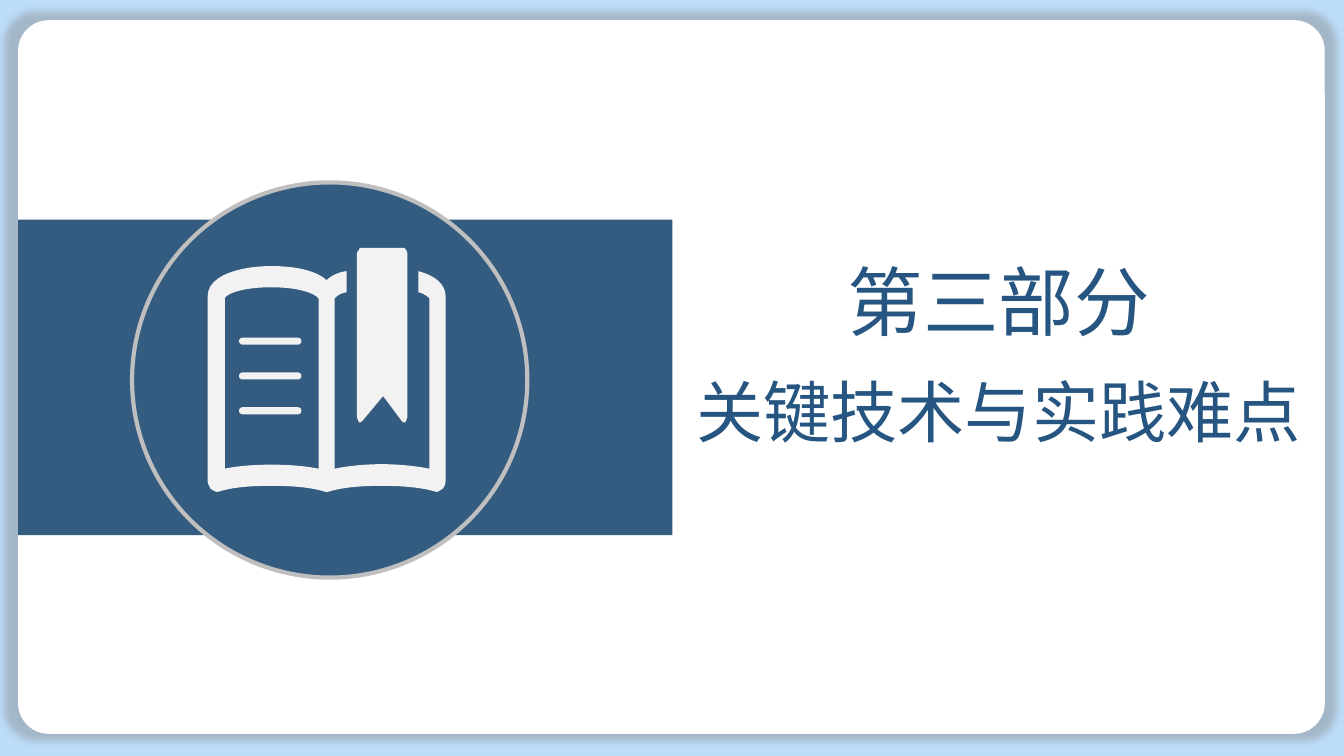
from lxml.etree import SubElement
from pptx import Presentation
from pptx.dml.color import RGBColor
from pptx.enum.shapes import MSO_SHAPE
from pptx.enum.text import MSO_ANCHOR, MSO_AUTO_SIZE, PP_ALIGN
from pptx.oxml.ns import qn
from pptx.util import Inches, Pt

SKY = RGBColor(0xBD, 0xDC, 0xF8)
WHITE = RGBColor(0xFF, 0xFF, 0xFF)
NAVY = RGBColor(0x33, 0x5C, 0x80)
TITLE_BLUE = RGBColor(0x25, 0x55, 0x80)
RING_GREY = RGBColor(0xBF, 0xBF, 0xBF)
ICON_GREY = RGBColor(0xF2, 0xF2, 0xF2)
FONT = "Noto Sans CJK JP"
CURVE_STEPS = 12

# Outlines in inches: a pair is a line end, six numbers are a Bezier segment
BOOK_COVER = [
    (4.15, 2.69), (4.15, 2.9), (4.2, 2.91, 4.24, 2.94, 4.26, 2.96),
    (4.26, 4.65), (3.96, 4.59, 3.61, 4.59, 3.32, 4.65), (3.32, 2.96),
    (3.34, 2.94, 3.37, 2.91, 3.44, 2.9), (3.44, 2.69),
    (3.36, 2.7, 3.29, 2.73, 3.24, 2.78), (3.12, 2.67, 2.89, 2.64, 2.69, 2.64),
    (2.41, 2.64, 2.06, 2.72, 2.06, 2.94), (2.06, 4.77),
    (2.06, 4.8, 2.08, 4.83, 2.09, 4.85), (2.11, 4.86, 2.13, 4.88, 2.16, 4.88),
    (2.32, 4.83, 2.5, 4.82, 2.69, 4.82), (2.88, 4.82, 3.07, 4.83, 3.23, 4.88),
    (3.25, 4.88), (3.42, 4.83, 3.6, 4.82, 3.78, 4.82),
    (3.97, 4.82, 4.16, 4.83, 4.33, 4.88), (4.35, 4.88, 4.37, 4.86, 4.39, 4.85),
    (4.41, 4.83, 4.42, 4.8, 4.42, 4.77), (4.42, 2.94),
    (4.42, 2.81, 4.3, 2.73, 4.15, 2.69),
]
LEFT_PAGE = [
    (3.16, 4.65), (3.01, 4.62, 2.85, 4.61, 2.69, 4.61),
    (2.54, 4.61, 2.37, 4.62, 2.23, 4.65), (2.23, 2.96),
    (2.25, 2.91, 2.42, 2.85, 2.69, 2.85), (2.96, 2.85, 3.12, 2.91, 3.16, 2.96),
]
BOOKMARK = [
    (3.56, 4.19), (3.58, 4.19), (3.6, 4.17), (3.8, 3.93), (3.98, 4.17),
    (4, 4.19), (4.02, 4.19), (4.03, 4.17), (4.04, 4.14), (4.04, 2.51),
    (4.03, 2.48), (4.01, 2.46), (3.57, 2.46), (3.56, 2.48), (3.54, 2.51),
    (3.54, 4.14),
]


def flatten(outline):
    """Turn lines and Bezier segments into a list of EMU points."""
    points = [outline[0]]
    for segment in outline[1:]:
        if len(segment) == 2:
            points.append(segment)
            continue
        start = points[-1]
        first, second, end = segment[:2], segment[2:4], segment[4:]
        for step in range(1, CURVE_STEPS + 1):
            t = step / CURVE_STEPS
            u = 1 - t
            points.append(tuple(
                u**3 * a + 3 * u * u * t * b + 3 * u * t * t * c + t**3 * d
                for a, b, c, d in zip(start, first, second, end)))
    return [(Inches(x), Inches(y)) for x, y in points]


class SectionSlide:
    def __init__(self, presentation):
        self.slide = presentation.slides.add_slide(presentation.slide_layouts[5])
        self.shapes = self.slide.shapes

    def paint(self, shape, fill, line=None):
        shape.shadow.inherit = False
        shape.fill.solid()
        shape.fill.fore_color.rgb = fill
        if line is None:
            shape.line.fill.background()
        else:
            shape.line.color.rgb = line
            shape.line.width = Pt(3)
        return shape

    def preset(self, kind, left, top, width, height, fill, line=None, corner=None):
        shape = self.shapes.add_shape(
            kind, Inches(left), Inches(top), Inches(width), Inches(height))
        if corner is not None:
            shape.adjustments[0] = corner
        return self.paint(shape, fill, line)

    def glow(self, shape):
        """Centred soft shadow, slightly larger than the shape."""
        effects = shape._element.spPr.find(qn("a:effectLst"))
        shadow = SubElement(
            effects, qn("a:outerShdw"), blurRad=str(Pt(5)), sx="102000",
            sy="102000", algn="ctr", rotWithShape="0")
        color = SubElement(shadow, qn("a:srgbClr"), val="808080")
        SubElement(color, qn("a:alpha"), val="40000")

    def outline(self, fill, *contours):
        first, *others = [flatten(contour) for contour in contours]
        builder = self.shapes.build_freeform(*first[0], scale=1.0)
        builder.add_line_segments(first[1:], close=True)
        for points in others:
            builder.move_to(*points[0])
            builder.add_line_segments(points[1:], close=True)
        return self.paint(builder.convert_to_shape(), fill)

    def title(self, left, top, width, height, lines):
        title = self.shapes.title
        title.left, title.top = Inches(left), Inches(top)
        title.width, title.height = Inches(width), Inches(height)
        # Bring the title in front of the panel
        title._element.getparent().append(title._element)
        frame = title.text_frame
        frame.word_wrap = True
        frame.auto_size = MSO_AUTO_SIZE.SHAPE_TO_FIT_TEXT
        frame.vertical_anchor = MSO_ANCHOR.TOP
        for index, (text, size) in enumerate(lines):
            paragraph = frame.add_paragraph() if index else frame.paragraphs[0]
            paragraph.alignment = PP_ALIGN.CENTER
            paragraph.line_spacing = 1.3
            run = paragraph.add_run()
            run.text = text
            run.font.size = Pt(size)
            run.font.name = FONT
            run.font.color.rgb = TITLE_BLUE
            SubElement(run.font._element, qn("a:ea"), typeface=FONT)


def main():
    presentation = Presentation()
    presentation.slide_width = Inches(13.33)
    presentation.slide_height = Inches(7.5)
    section = SectionSlide(presentation)

    # Backdrop and white panel
    section.preset(MSO_SHAPE.RECTANGLE, 0, 0, 13.33, 7.5, SKY)
    panel = section.preset(MSO_SHAPE.ROUNDED_RECTANGLE, 0.18, 0.2, 12.96, 7.08,
                           WHITE, corner=0.043)
    section.glow(panel)

    # Band and heading
    section.preset(MSO_SHAPE.RECTANGLE, 0.18, 2.18, 6.49, 3.13, NAVY)
    section.title(6.66, 2.21, 6.49, 2.23,
                  [("第三部分", 54), ("关键技术与实践难点", 48)])

    # Book icon in its ring
    section.preset(MSO_SHAPE.OVAL, 1.31, 1.81, 3.92, 3.92, NAVY, RING_GREY)
    section.outline(ICON_GREY, BOOKMARK)
    for row in range(3):
        section.preset(MSO_SHAPE.ROUNDED_RECTANGLE, 2.37, 3.35 + row * 0.345,
                       0.62, 0.07, ICON_GREY, corner=0.5)
    section.outline(ICON_GREY, BOOK_COVER, LEFT_PAGE)

    presentation.save("out.pptx")


if __name__ == "__main__":
    main()
